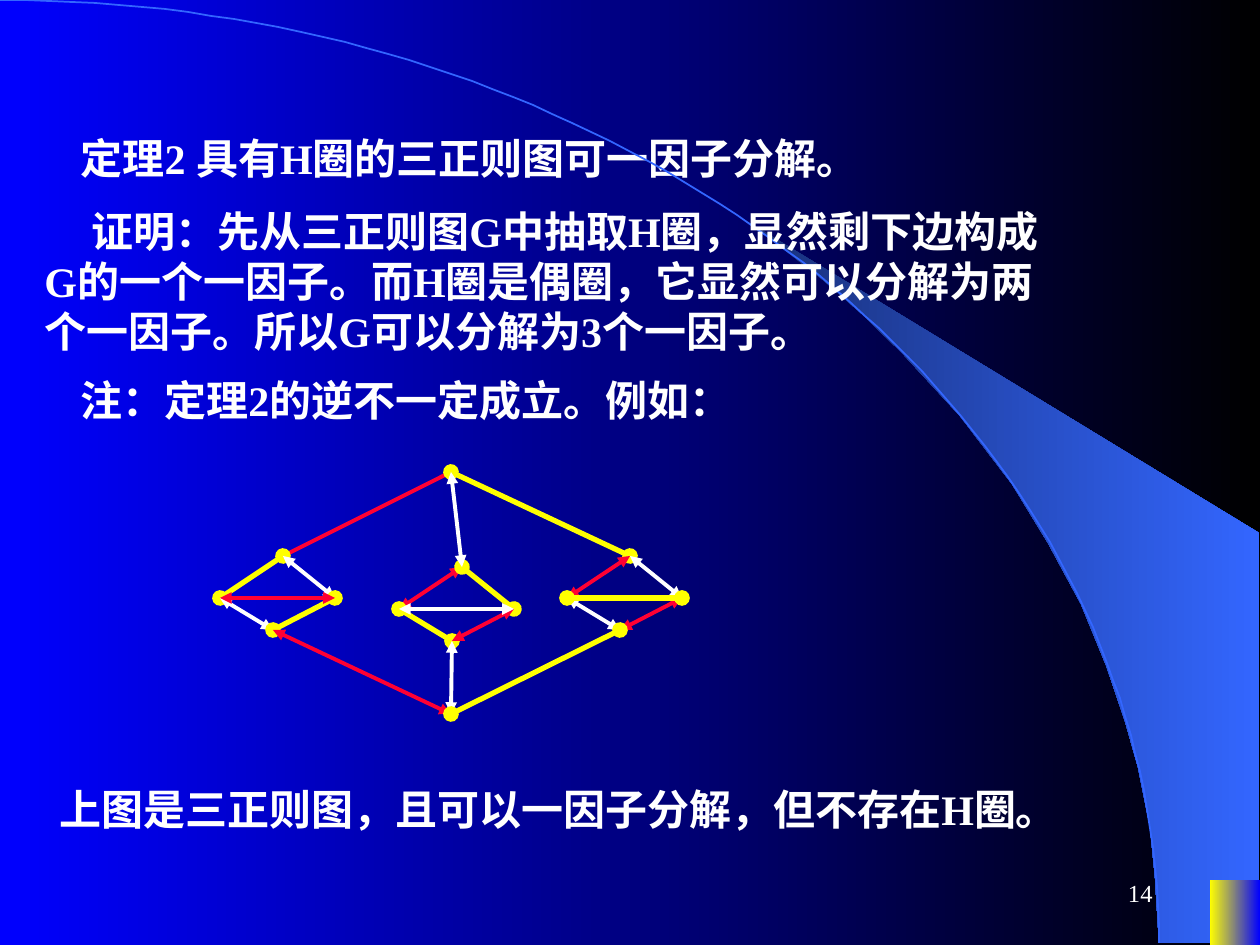
from lxml import etree
from pptx import Presentation
from pptx import util as u
from pptx.dml.color import RGBColor
from pptx.enum import shapes, text
from pptx.oxml.ns import qn

PX = 914400 / 126


def rgb(value):
    return RGBColor.from_string(value)


def blend(fill, *colours):
    """Fill with a left-to-right gradient between two colours."""
    fill.gradient()
    fill.gradient_angle = 0
    for stop, colour in zip(fill.gradient_stops, colours):
        stop.color.rgb = rgb(colour)


deck = Presentation()
deck.slide_width, deck.slide_height = round(1260 * PX), round(945 * PX)
slide = deck.slides.add_slide(deck.slide_layouts[5])
blend(slide.background.fill, "0000FF", "000000")

# Backdrop: wedge, arc and corner block
wedge_points = [
    (1159, 943), (1259, 943), (1259, 533), (742, 218), (786, 251), (823, 280),
    (863, 315), (902, 353), (960, 416), (1012, 484), (1048, 543), (1081, 604),
    (1106, 665), (1125, 721), (1138, 767), (1150, 827), (1155, 877),
]
builder = slide.shapes.build_freeform(*wedge_points[0], scale=PX)
builder.add_line_segments(wedge_points[1:], close=True)
wedge = builder.convert_to_shape()
blend(wedge.fill, "182F76", "3366FF")

# Cubic curve from the top left corner to the foot of the wedge
arc_points = []
for step in range(1, 81):
    t = step / 80
    s = 1 - t
    arc_points.append((
        round(3 * s * s * t * 640 + 3 * s * t * t * 1159 + t**3 * 1159),
        round(3 * s * t * t * 422 + t**3 * 943),
    ))
builder = slide.shapes.build_freeform(0, 0, scale=PX)
builder.add_line_segments(arc_points, close=False)
arc = builder.convert_to_shape()
arc.fill.background()
arc.line.color.rgb = rgb("3366FF")
arc.line.width = u.Pt(1)

corner = slide.shapes.add_shape(
    shapes.MSO_SHAPE.RECTANGLE, *(round(n * PX) for n in (1210, 880, 50, 65)))
blend(corner.fill, "FFFF00", "0000FF")
for backdrop in (wedge, arc, corner):
    backdrop.shadow.inherit = False
for unlined in (wedge, corner):
    unlined.line.fill.background()

# Theorem, proof, remark, conclusion and page number
LEFT, RIGHT = text.PP_ALIGN.LEFT, text.PP_ALIGN.RIGHT
TOP, MIDDLE = text.MSO_ANCHOR.TOP, text.MSO_ANCHOR.MIDDLE
statement = {"size": u.Pt(24), "bold": True}
page_number = {"size": u.Pt(14), "bold": False}
passages = [
    ("定理2 具有H圈的三正则图可一因子分解。", (21, 126, 1050, 63), statement, LEFT, TOP),
    ("证明：先从三正则图G中抽取H圈，显然剩下边构成G的一个一因子。"
     "而H圈是偶圈，它显然可以分解为两个一因子。所以G可以分解为3个一因子。",
     (32, 199, 1050, 164), statement, LEFT, TOP),
    ("注：定理2的逆不一定成立。例如：", (21, 368, 1050, 63), statement, LEFT, TOP),
    ("上图是三正则图，且可以一因子分解，但不存在H圈。",
     (0, 777, 1187, 63), statement, LEFT, TOP),
    ("14", (903, 861, 262, 63), page_number, RIGHT, MIDDLE),
]
for index, (words, place, style, align, anchor) in enumerate(passages):
    left, top, width, height = (round(n * PX) for n in place)
    if index == 0:
        holder = slide.shapes.title
        holder.left, holder.top, holder.width, holder.height = left, top, width, height
    else:
        holder = slide.shapes.add_textbox(left, top, width, height)
    frame = holder.text_frame
    frame.word_wrap = True
    frame.auto_size = text.MSO_AUTO_SIZE.NONE
    frame.vertical_anchor = anchor
    paragraph = frame.paragraphs[0]
    paragraph.text = words
    paragraph.alignment = align
    if style is statement:
        paragraph._p.get_or_add_pPr().set("indent", str(round(47 * PX)))
    font = paragraph.runs[0].font
    for key, value in {"name": "Times New Roman", **style}.items():
        setattr(font, key, value)
    font.color.rgb = rgb("FFFFFF")

# Cubic graph: three diamonds joined through a top and a bottom vertex
vertices = {"top": (451, 472), "bottom": (451, 714)}
for diamond, (x, y) in {"L": (220, 598), "M": (399, 609), "R": (567, 598)}.items():
    apex, foot = (53, 31) if diamond == "R" else (53, 32), 0
    vertices[diamond + "w"] = (x, y)
    vertices[diamond + "e"] = (x + 115, y)
    vertices[diamond + "n"] = (x + 63, y - 42)
    vertices[diamond + "s"] = (x + 53, y + 32)

RED, YELLOW, WHITE = "FF0033", "FFFF00", "FFFFFF"
edges = [
    ("top", "Ln", RED), ("top", "Rn", YELLOW),
    ("Ln", "Lw", YELLOW), ("Lw", "Ls", WHITE), ("Ln", "Le", WHITE), ("Le", "Ls", YELLOW),
    ("Mn", "Mw", RED), ("Mw", "Ms", YELLOW), ("Mn", "Me", YELLOW), ("Me", "Ms", RED),
    ("Rn", "Rw", RED), ("Rw", "Rs", WHITE), ("Rn", "Re", WHITE), ("Re", "Rs", RED),
    ("top", "Mn", WHITE), ("Ms", "bottom", WHITE),
    ("Ls", "bottom", RED), ("Rs", "bottom", YELLOW),
    ("Lw", "Le", RED), ("Mw", "Me", WHITE), ("Rw", "Re", YELLOW),
]
for start, finish, colour in edges:
    ends = (round(n * PX) for n in vertices[start] + vertices[finish])
    edge = slide.shapes.add_connector(shapes.MSO_CONNECTOR.STRAIGHT, *ends)
    edge.line.color.rgb = rgb(colour)
    edge.line.width = u.Pt(3 if colour == YELLOW else 2.25)
    dotted = colour == YELLOW or (start, finish) == ("top", "Ln")
    for tip in ("a:headEnd", "a:tailEnd"):
        etree.SubElement(edge.line._get_or_add_ln(), qn(tip),
                         type="oval" if dotted else "triangle")
    etree.SubElement(edge._element.spPr, qn("a:effectLst"))

deck.save("out.pptx")
